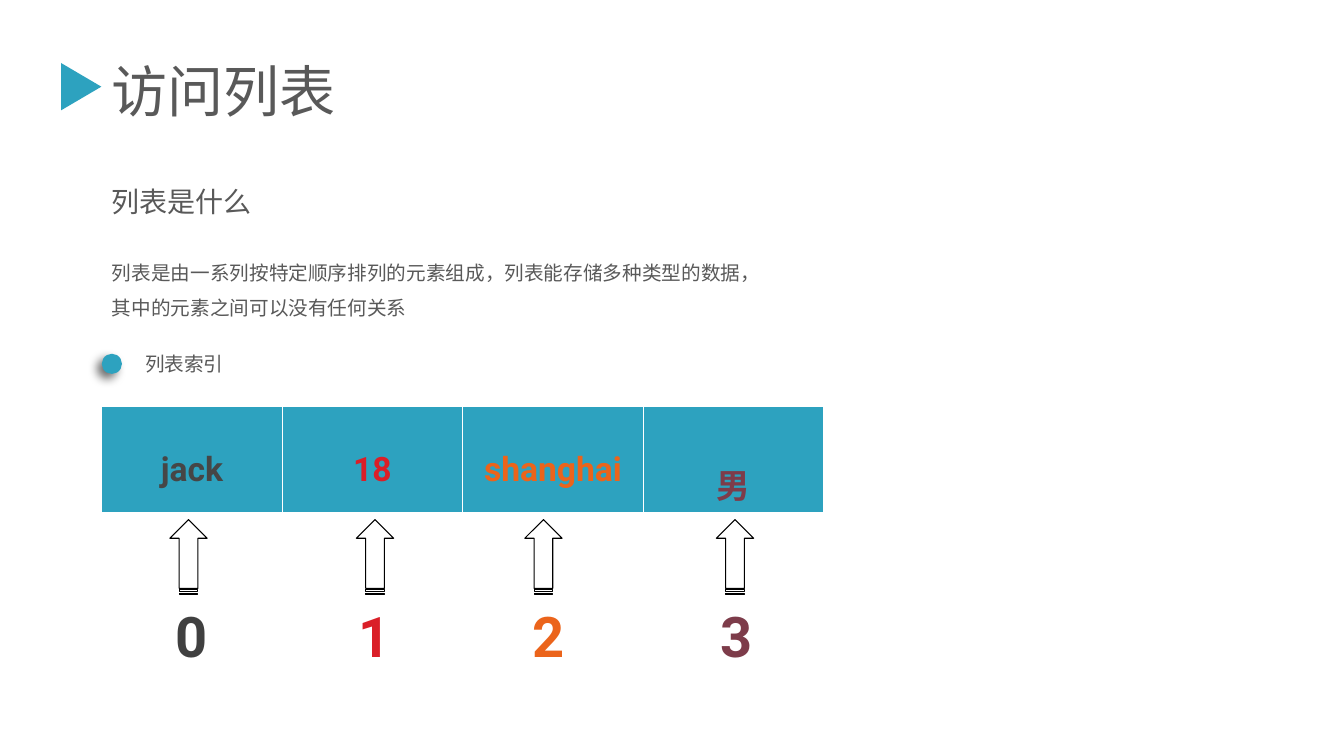
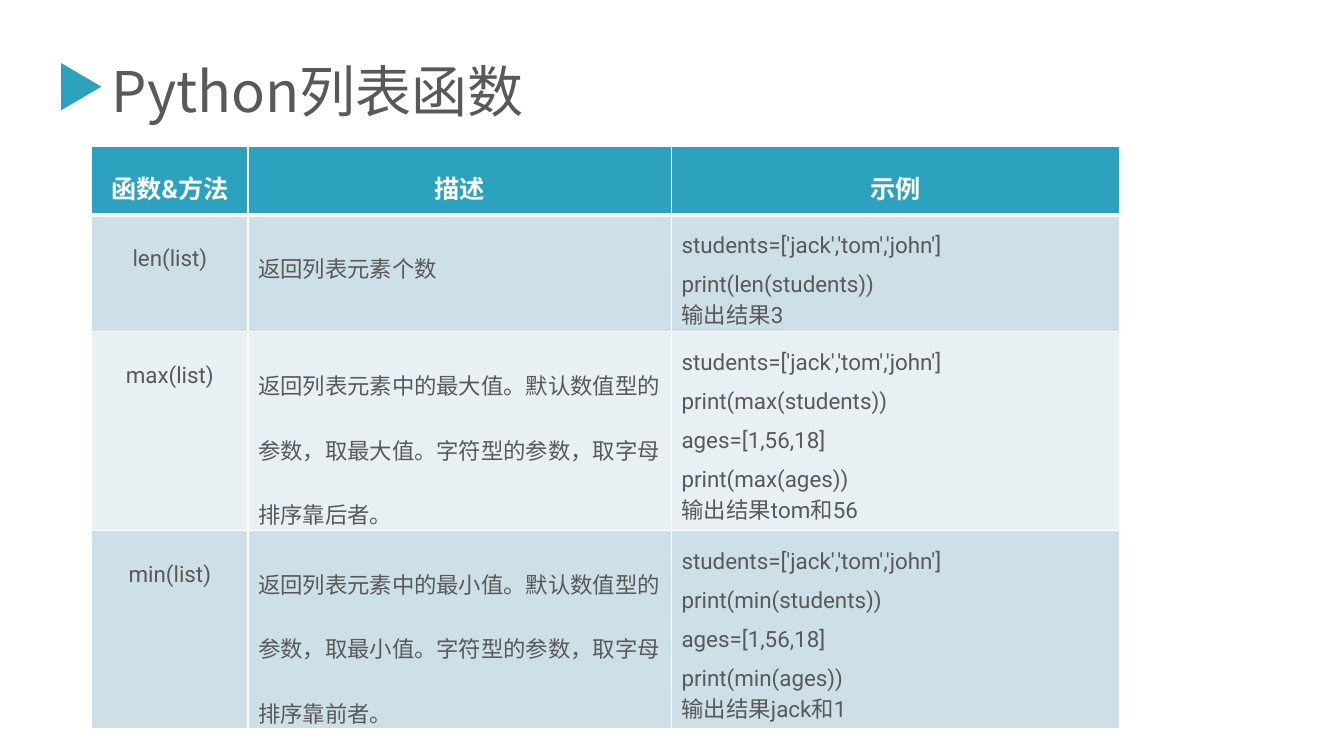
from lxml.etree import SubElement, fromstring
from pptx import Presentation
from pptx.dml.color import RGBColor
from pptx.enum.shapes import MSO_SHAPE
from pptx.enum.text import MSO_ANCHOR, MSO_AUTO_SIZE, PP_ALIGN
from pptx.oxml.ns import nsdecls, qn
from pptx.util import Emu, Pt

SCALE = 9144
TEAL, GREY, WHITE, BLACK = "2DA2BF", "595959", "FFFFFF", "000000"
BANDS = ("CDE0E8", "E8F0F4")
HAN, LATIN = "Noto Sans CJK SC", "Roboto"
TITLE = (101, 51, 652, 77)
ITEMS = [
    ("jack", "464646", "404040", 150, 164),
    ("18", "DA1F28", "DA1F28", 335, 346),
    ("shanghai", "EB641B", "EB641B", 502, 518),
    ("男", "7D3C4A", "7D3C4A", 692, 705),
]
HEADS = ("函数&方法", "描述", "示例")
ROWS = [
    ("len(list)", "返回列表元素个数",
     "students=['jack','tom','john']\nprint(len(students))\n输出结果3"),
    ("max(list)",
     "返回列表元素中的最大值。默认数值型的参数，取最大值。字符型的参数，取字母排序靠后者。",
     "students=['jack','tom','john']\nprint(max(students))\n"
     "ages=[1,56,18]\nprint(max(ages))\n输出结果tom和56"),
    ("min(list)",
     "返回列表元素中的最小值。默认数值型的参数，取最小值。字符型的参数，取字母排序靠前者。",
     "students=['jack','tom','john']\nprint(min(students))\n"
     "ages=[1,56,18]\nprint(min(ages))\n输出结果jack和1"),
]


def px(*sizes):
    """Turn px lengths into EMU."""
    return [Emu(size * SCALE) for size in sizes]


def tint(hue):
    """Turn a hex string into a colour."""
    return RGBColor.from_string(hue)


def glow(blur, gap, turn, alpha):
    """Return an outer shadow: points, degrees and percent."""
    return fromstring(
        f'<a:outerShdw {nsdecls("a")} blurRad="{Pt(blur)}" dist="{Pt(gap)}" '
        f'dir="{turn * 60000}" algn="tl" rotWithShape="0"><a:srgbClr val="{BLACK}">'
        f'<a:alpha val="{alpha * 1000}"/></a:srgbClr></a:outerShdw>')


def put(frame, text, size=14, hue=GREY, font=HAN, bold=False, align=PP_ALIGN.LEFT,
        lead=1.0, last=None, before=0, shade=False):
    """Write text into a frame, one paragraph a line."""
    lines = text.split("\n")
    for num, line in enumerate(lines):
        para = frame.add_paragraph() if num else frame.paragraphs[0]
        para.alignment = align
        para.line_spacing = last if last and num == len(lines) - 1 else lead
        para.space_before = Pt(before)
        run = para.add_run()
        run.text = line
        run.font.size, run.font.bold = Pt(size), bold
        run.font.color.rgb = tint(hue)
        run.font.name = font
        props = run.font._element
        props.find(qn("a:latin")).addnext(
            fromstring(f'<a:ea {nsdecls("a")} typeface="{HAN}"/>'))
        if shade:
            effect = fromstring(f'<a:effectLst {nsdecls("a")}/>')
            effect.append(glow(3, 3, 45, 43))
            props.find(qn("a:solidFill")).addnext(effect)


def hold(spot, box, text, **form):
    """Move a placeholder to a box and fill it."""
    spot.left, spot.top, spot.width, spot.height = px(*box)
    frame = spot.text_frame
    frame.auto_size = MSO_AUTO_SIZE.NONE
    frame.vertical_anchor = MSO_ANCHOR.TOP
    put(frame, text, **form)


def label(shapes, box, text, **form):
    """Add a text box."""
    frame = shapes.add_textbox(*px(*box)).text_frame
    frame.word_wrap = True
    put(frame, text, **form)


def draw(shapes, kind, box, fill=None, line=None, turn=0):
    """Add a plain preset shape."""
    shape = shapes.add_shape(kind, *px(*box))
    shape.shadow.inherit = False
    shape.rotation = turn
    if fill:
        shape.fill.solid()
        shape.fill.fore_color.rgb = tint(fill)
    else:
        shape.fill.background()
    if line:
        shape.line.color.rgb = tint(line)
        shape.line.width = Pt(0.75)
    else:
        shape.line.fill.background()
    return shape


def edge(cell, **widths):
    """Draw the white borders of a cell."""
    props = cell._tc.get_or_add_tcPr()
    for side in "LRTB":
        line = SubElement(props, qn(f"a:ln{side}"), w=str(Pt(widths.get(side, 1))))
        fill = SubElement(line, qn("a:solidFill"))
        SubElement(fill, qn("a:srgbClr"), val=WHITE)


def grid(shapes, left, top, cols, rows):
    """Add a table with the given column and row sizes."""
    table = shapes.add_table(len(rows), len(cols),
                             *px(left, top, sum(cols), sum(rows))).table
    table.horz_banding = False
    for col, size in zip(table.columns, px(*cols)):
        col.width = size
    for row, size in zip(table.rows, px(*rows)):
        row.height = size
    return table


def pack(cell, text, fill, edges, **form):
    """Fill one table cell."""
    edge(cell, **edges)
    cell.fill.solid()
    cell.fill.fore_color.rgb = tint(fill)
    cell.margin_bottom = 0
    put(cell.text_frame, text, **form)


def start(deck, kind, text):
    """Add a slide with its title and marker."""
    slide = deck.slides.add_slide(deck.slide_layouts[kind])
    left, top = TITLE[:2]
    hold(slide.shapes.title, TITLE, text, size=40)
    draw(slide.shapes, MSO_SHAPE.ISOSCELES_TRIANGLE,
         (left - 44, top + 15, 47, 40), fill=TEAL, turn=90)
    return slide


def intro(slide, box):
    """Place the heading and the meaning of a list."""
    left, top, wide, high = box
    label(slide.shapes, (left, top, 235, 44), "列表是什么", size=20, before=12)
    body = slide.placeholders[1]
    hold(body, (left, top + 64, wide, high - 64),
         "列表是由一系列按特定顺序排列的元素组成，列表能存储多种类型的数据，"
         "其中的元素之间可以没有任何关系", lead=1.5, before=12)
    props = body.text_frame.paragraphs[0]._p.get_or_add_pPr()
    props.set("marL", "0")
    props.set("indent", "0")
    SubElement(props, qn("a:buNone"))


def point(slide, box):
    """Place the dot and its label as a group."""
    left, top, wide, high = box
    group = slide.shapes.add_group_shape().shapes
    dot = draw(group, MSO_SHAPE.OVAL, (left, top + 7, 20, 20), fill=TEAL)
    dot._element.spPr.find(qn("a:effectLst")).append(glow(7, 5, 135, 57))
    label(group, (left + 33, top, wide - 33, high), "列表索引", before=12)


def index(slide, box):
    """Place the list cells, arrows and index digits."""
    left, top, wide, high = box
    count = len(ITEMS)
    table = grid(slide.shapes, left, top, [wide // count] * count, [high])
    for col, (word, hue, dark, arrow, digit) in enumerate(ITEMS):
        pack(table.cell(0, col), word, TEAL, {"B": 3}, size=24, hue=hue,
             font=LATIN, bold=True, align=PP_ALIGN.CENTER, lead=2.0)
        draw(slide.shapes, MSO_SHAPE.STRIPED_RIGHT_ARROW,
             (arrow, top + 131, 74, 37), line=BLACK, turn=270)
        label(slide.shapes, (digit, top + 189, 61, 77), str(col), size=40,
              hue=dark, font=LATIN, bold=True, shade=True)


def chart(slide, left, top):
    """Place the table of list functions."""
    table = grid(slide.shapes, left, top, (155, 420, 444), (68, 116, 197, 197))
    mid = PP_ALIGN.CENTER
    for col, head in enumerate(HEADS):
        pack(table.cell(0, col), head, TEAL, {"B": 3}, size=18, hue=WHITE,
             font=LATIN, bold=True, align=mid, lead=1.5)
    forms = ({"align": mid, "lead": 2.0}, {"lead": 2.0}, {"lead": 1.5, "last": 1.0})
    for num, row in enumerate(ROWS, 1):
        edges = {"T": 3} if num == 1 else {}
        for col, (text, form) in enumerate(zip(row, forms)):
            pack(table.cell(num, col), text, BANDS[(num - 1) % 2], edges,
                 size=16, font=LATIN, **form)


def main():
    """Build and save the deck."""
    deck = Presentation()
    deck.slide_width, deck.slide_height = px(1333, 750)
    slide = start(deck, 1, "访问列表")
    intro(slide, (101, 178, 677, 141))
    point(slide, (101, 344, 622, 34))
    index(slide, (101, 403, 716, 107))
    chart(start(deck, 5, "Python列表函数"), 91, 145)
    deck.save("out.pptx")


if __name__ == "__main__":
    main()
